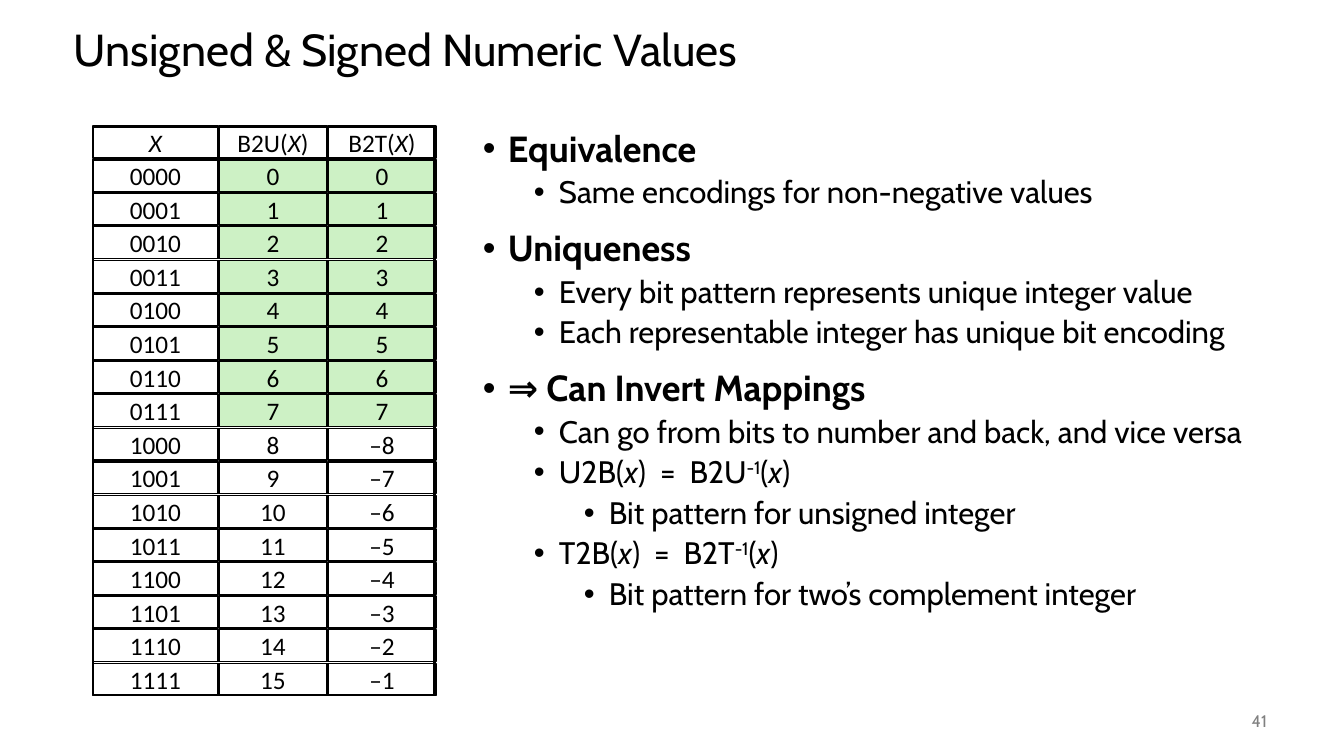
from lxml.etree import SubElement
from pptx import Presentation
from pptx.dml.color import RGBColor
from pptx.enum.shapes import MSO_SHAPE
from pptx.enum.text import MSO_ANCHOR, MSO_AUTO_SIZE, PP_ALIGN
from pptx.oxml.ns import qn
from pptx.util import Emu, Pt

BLACK = RGBColor(0x00, 0x00, 0x00)
WHITE = RGBColor(0xFF, 0xFF, 0xFF)
GREEN = RGBColor(0xCD, 0xF1, 0xC5)
GRAY = RGBColor(0x80, 0x80, 0x80)
SLIDE_WIDTH, SLIDE_HEIGHT = 1344, 756
EMU_PER_PX = 12192000 / SLIDE_WIDTH

# Grid of bit patterns: (left, width) of each column, then the rows
COLUMNS = [(93, 125), (219, 108), (328, 108)]
GRID_TOP, GRID_HEIGHT, ROW_COUNT, CELL_HEIGHT = 126, 571, 17, 32

# Runs are (text, style) pairs; plain strings have no style
X = ("x", "italic")
INVERSE = ("-1", "superscript")
INDENTS = [25, 76, 126]
BULLETS = [
    (0, ["Equivalence"]),
    (1, ["Same encodings for non-negative values"]),
    (0, ["Uniqueness"]),
    (1, ["Every bit pattern represents unique integer value"]),
    (1, ["Each representable integer has unique bit encoding"]),
    (0, ["⇒ Can Invert Mappings"]),
    (1, ["Can go from bits to number and back, and vice versa"]),
    (1, ["U2B(", X, ")  =  B2U", INVERSE, "(", X, ")"]),
    (2, ["Bit pattern for unsigned integer"]),
    (1, ["T2B(", X, ")  =  B2T", INVERSE, "(", X, ")"]),
    (2, ["Bit pattern for two’s complement integer"]),
]
BIG_X = ("X", "italic")
HEADER = [[BIG_X], ["B2U(", BIG_X, ")"], ["B2T(", BIG_X, ")"]]


def px(value):
    return Emu(round(value * EMU_PER_PX))


def write(paragraph, runs, size, font="Cabin", color=BLACK, bold=False,
          align=PP_ALIGN.LEFT, line_spacing=None, space_before=0):
    paragraph.alignment = align
    paragraph.space_before = Pt(space_before)
    if line_spacing:
        paragraph.line_spacing = line_spacing
    for item in runs:
        text, style = (item, None) if isinstance(item, str) else item
        run = paragraph.add_run()
        run.text = text
        run.font.name = font
        run.font.size = Pt(size)
        run.font.bold = bold
        run.font.italic = style == "italic"
        run.font.color.rgb = color
        if style == "superscript":
            run._r.get_or_add_rPr().set("baseline", "30000")


def add_bullet(paragraph, left, hanging):
    properties = paragraph._p.get_or_add_pPr()
    properties.set("marL", str(px(left)))
    properties.set("indent", str(-px(hanging)))
    SubElement(properties, qn("a:buFont"), typeface="Arial")
    SubElement(properties, qn("a:buChar"), char="•")


class SlideBuilder:
    def __init__(self, presentation):
        self.slide = presentation.slides.add_slide(presentation.slide_layouts[5])

    def title(self, text, left, top, width, height):
        title = self.slide.shapes.title
        title.left, title.top, title.width, title.height = map(px, (left, top, width, height))
        frame = title.text_frame
        frame.auto_size = MSO_AUTO_SIZE.NONE
        frame.word_wrap = False
        frame.vertical_anchor = MSO_ANCHOR.TOP
        frame.margin_left = frame.margin_right = px(7)
        frame.margin_top = frame.margin_bottom = px(3)
        write(frame.paragraphs[0], [text], 32, line_spacing=0.9)

    def text_frame(self, left, top, width, height, anchor=MSO_ANCHOR.TOP):
        frame = self.slide.shapes.add_textbox(*map(px, (left, top, width, height))).text_frame
        frame.word_wrap = True
        frame.vertical_anchor = anchor
        return frame

    def bullets(self, items, *box):
        frame = self.text_frame(*box)
        for index, (level, runs) in enumerate(items):
            paragraph = frame.add_paragraph() if index else frame.paragraphs[0]
            paragraph.level = level
            top_level = level == 0
            space = (14 if top_level else 5) if index else 0
            write(paragraph, runs, 25.9 if top_level else 22.2, bold=top_level,
                  line_spacing=0.9, space_before=space)
            add_bullet(paragraph, INDENTS[level], INDENTS[0])

    def rectangle(self, group, left, top, width, height, fill=None, line_width=1):
        shape = group.shapes.add_shape(
            MSO_SHAPE.RECTANGLE, *map(px, (left, top, width, height)))
        shape.shadow.inherit = False
        if fill is None:
            shape.fill.background()
        else:
            shape.fill.solid()
            shape.fill.fore_color.rgb = fill
        shape.line.color.rgb = BLACK
        shape.line.width = Pt(line_width)
        return shape

    def grid(self, rows):
        group = self.slide.shapes.add_group_shape()
        for row_index, row in enumerate(rows):
            top = GRID_TOP + row_index * GRID_HEIGHT / ROW_COUNT
            for column_index, (left, width) in enumerate(COLUMNS):
                # Values that agree in both encodings are green
                same = column_index > 0 and 1 <= row_index <= 8
                cell = self.rectangle(group, left, top, width, CELL_HEIGHT,
                                      fill=GREEN if same else WHITE)
                frame = cell.text_frame
                frame.word_wrap = False
                frame.vertical_anchor = MSO_ANCHOR.MIDDLE
                write(frame.paragraphs[0], row[column_index], 18, font="Calibri",
                      align=PP_ALIGN.CENTER)

        # Heavy frames around the header and the values
        for top, height in ((127, 31), (160, 535)):
            self.rectangle(group, 93, top, 342, height, line_width=2)

    def slide_number(self, text, *box):
        frame = self.text_frame(*box, anchor=MSO_ANCHOR.MIDDLE)
        write(frame.paragraphs[0], [text], 12, color=GRAY, align=PP_ALIGN.RIGHT)


def main():
    presentation = Presentation()
    presentation.slide_width = px(SLIDE_WIDTH)
    presentation.slide_height = px(SLIDE_HEIGHT)
    builder = SlideBuilder(presentation)

    # Title
    builder.title("Unsigned & Signed Numeric Values", 67, 25, 1210, 76)

    # Key points
    builder.bullets(BULLETS, 473, 126, 803, 554)

    # Four-bit patterns with their unsigned and two's complement values
    rows = [HEADER]
    for value in range(16):
        signed = f"–{16 - value}" if value >= 8 else str(value)
        rows.append([[f"{value:04b}"], [str(value)], [signed]])
    builder.grid(rows)

    # Slide number
    builder.slide_number("41", 1176, 701, 101, 40)

    presentation.save("out.pptx")


if __name__ == "__main__":
    main()
